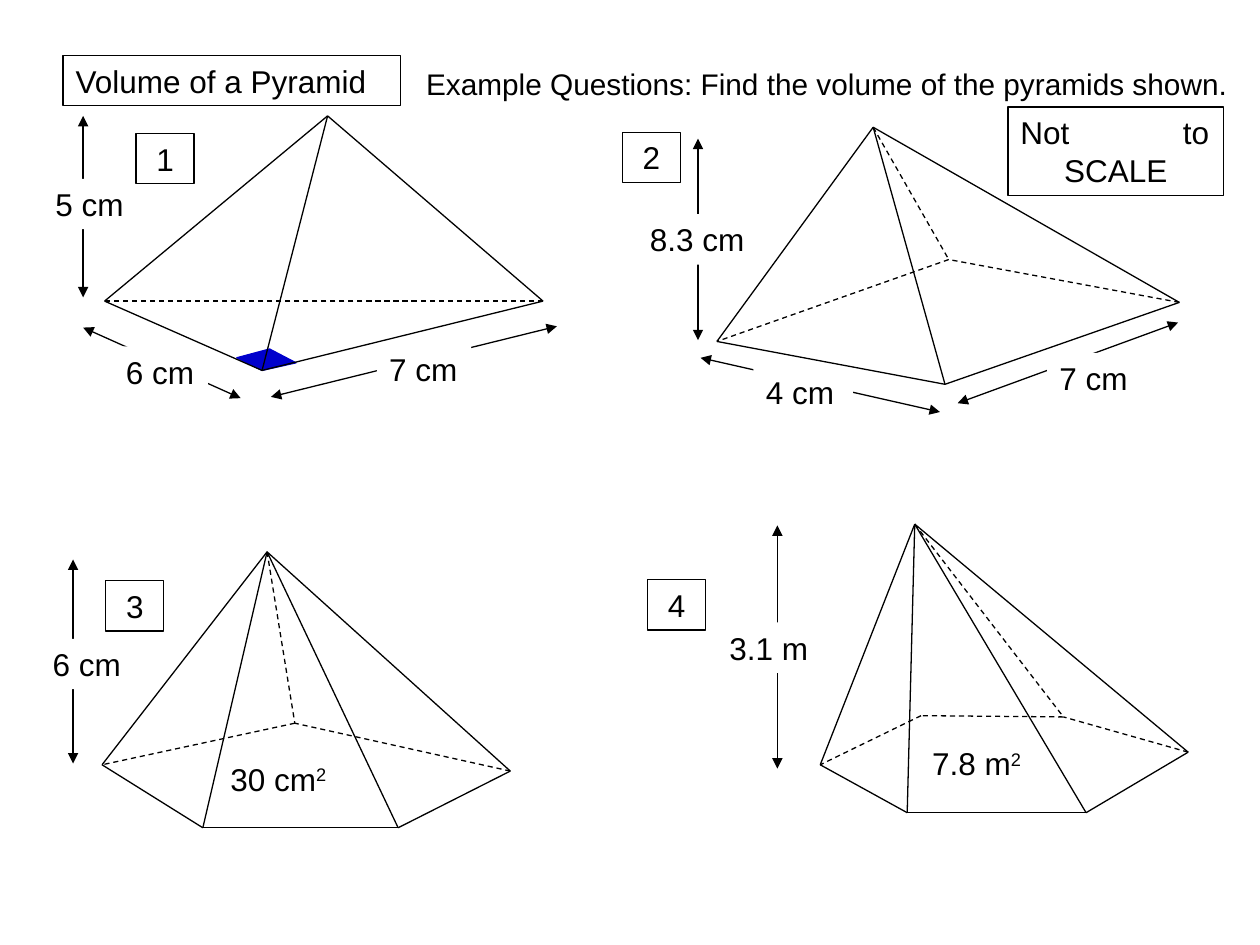
from lxml import etree
from pptx import Presentation
from pptx import util as u
from pptx.dml.color import RGBColor
from pptx.enum import dml, shapes, text
from pptx.oxml.ns import qn

BLACK = RGBColor(0x00, 0x00, 0x00)
WHITE = RGBColor(0xFF, 0xFF, 0xFF)
BLUE = RGBColor(0x00, 0x00, 0xCC)
FONT = "Arial"
LINE_WIDTH = u.Pt(0.75)
LABEL_HEIGHT = 0.4

# Front vertices run left to right, back vertices right to left
PYRAMIDS = [
    dict(apex=(2.6, 0.92), front=[(0.83, 2.39), (2.08, 2.94), (4.31, 2.39)], back=[]),
    dict(apex=(6.93, 1.01), front=[(5.69, 2.71), (7.5, 3.05), (9.36, 2.4)],
         back=[(7.53, 2.06)]),
    dict(apex=(2.12, 4.38), front=[(0.81, 6.07), (1.61, 6.57), (3.16, 6.57), (4.05, 6.12)],
         back=[(2.34, 5.74)]),
    dict(apex=(7.26, 4.16), front=[(6.51, 6.07), (7.2, 6.45), (8.62, 6.45), (9.43, 5.97)],
         back=[(8.44, 5.69), (7.31, 5.68)]),
]
RIGHT_ANGLE = [(1.88, 2.84), (2.14, 2.77), (2.35, 2.88), (2.08, 2.94)]

# Arrow start, arrow end, label, label left, top and width
DIMENSIONS = [
    ((0.66, 2.36), (0.66, 0.92), "5 cm", 0.34, 1.42, 0.79),
    ((0.66, 2.6), (1.91, 3.16), "6 cm", 0.9, 2.75, 0.75),
    ((2.15, 3.15), (4.42, 2.59), "7 cm", 2.99, 2.73, 0.75),
    ((5.54, 1.1), (5.54, 2.7), "8.3 cm", 5.06, 1.7, 1.02),
    ((5.56, 2.84), (7.46, 3.27), "4 cm", 5.98, 2.91, 0.79),
    ((7.6, 3.2), (9.35, 2.56), "7 cm", 8.31, 2.8, 0.79),
    ((0.58, 6.06), (0.58, 4.44), "6 cm", 0.32, 5.07, 0.79),
    ((6.17, 4.17), (6.17, 6.1), "3.1 m", 5.69, 4.94, 1.04),
]
BASE_AREAS = [("30 cm", 1.73, 5.98), ("7.8 m", 7.3, 5.86)]
NUMBER_BOXES = [(1.08, 1.06), (4.94, 1.05), (0.84, 4.61), (5.14, 4.6)]


def write_text(paragraph, content, size=18, align=text.PP_ALIGN.LEFT,
               superscript="", tab=None):
    """Fill a paragraph, with an optional raised ending and tab stop."""
    paragraph.alignment = align
    paragraph.space_before = u.Pt(0)
    if tab:
        tabs = etree.SubElement(paragraph._p.get_or_add_pPr(), qn("a:tabLst"))
        etree.SubElement(tabs, qn("a:tab"), pos=str(u.Inches(tab)), algn="l")
    for part in filter(None, (content, superscript)):
        run = paragraph.add_run()
        run.text = part
        run.font.name = FONT
        run.font.size = u.Pt(size)
        run.font.color.rgb = BLACK
    if superscript:
        run._r.get_or_add_rPr().set("baseline", "30000")


def set_frame(shape):
    """Make the text of a shape wrap and start at the top."""
    frame = shape.text_frame
    frame.word_wrap = True
    frame.auto_size = text.MSO_AUTO_SIZE.NONE
    frame.vertical_anchor = text.MSO_ANCHOR.TOP
    return frame


def outline(shape):
    shape.line.color.rgb = BLACK
    shape.line.width = LINE_WIDTH


def add_box(slide, left, top, width, height=LABEL_HEIGHT, fill=None, border=False):
    """Add a rectangle and return its text frame."""
    shape = slide.shapes.add_shape(shapes.MSO_SHAPE.RECTANGLE,
                                   *map(u.Inches, (left, top, width, height)))
    shape.shadow.inherit = False
    if fill is None:
        shape.fill.background()
    else:
        shape.fill.solid()
        shape.fill.fore_color.rgb = fill
    if border:
        outline(shape)
    else:
        shape.line.fill.background()
    return set_frame(shape)


def add_text_box(slide, left, top, width, content, **text_format):
    shape = slide.shapes.add_textbox(*map(u.Inches, (left, top, width, LABEL_HEIGHT)))
    write_text(set_frame(shape).paragraphs[0], content, **text_format)


def add_line(slide, start, end, dashed=False, arrows=False):
    line = slide.shapes.add_connector(shapes.MSO_CONNECTOR.STRAIGHT,
                                      *map(u.Inches, (*start, *end)))
    outline(line)
    if dashed:
        line.line.dash_style = dml.MSO_LINE.DASH
    if arrows:
        for tag in ("a:headEnd", "a:tailEnd"):
            etree.SubElement(line.line._get_or_add_ln(), qn(tag), type="triangle")
    etree.SubElement(line._element.spPr, qn("a:effectLst"))


def add_pyramid(slide, apex, front, back):
    """Draw solid visible edges and dashed hidden ones."""
    hidden_base = [front[-1], *back, front[0]]
    for start, end in zip(front, front[1:]):
        add_line(slide, start, end)
    for start, end in zip(hidden_base, hidden_base[1:]):
        add_line(slide, start, end, dashed=True)
    for vertex in front:
        add_line(slide, apex, vertex)
    for vertex in back[:1]:
        add_line(slide, apex, vertex, dashed=True)


def add_right_angle(slide):
    points = [tuple(map(u.Inches, point)) for point in RIGHT_ANGLE]
    builder = slide.shapes.build_freeform(*points[0])
    builder.add_line_segments(points[1:], close=True)
    mark = builder.convert_to_shape()
    mark.shadow.inherit = False
    mark.fill.solid()
    mark.fill.fore_color.rgb = BLUE
    mark.line.color.rgb = BLUE
    mark.line.width = LINE_WIDTH


def add_title(slide, content):
    title = slide.shapes.title
    title.left, title.top, title.width, title.height = map(
        u.Inches, (0.5, 0.44, 2.68, LABEL_HEIGHT))
    outline(title)
    write_text(set_frame(title).paragraphs[0], content)


def main():
    presentation = Presentation()
    presentation.slide_width = u.Inches(10)
    presentation.slide_height = u.Inches(7.5)
    slide = presentation.slides.add_slide(presentation.slide_layouts[5])
    center = text.PP_ALIGN.CENTER

    # Heading and task
    add_title(slide, "Volume of a Pyramid")
    add_text_box(slide, 3.13, 0.47, 6.87,
                 "Example Questions: Find the volume of the pyramids shown.",
                 size=17, align=center)

    # Lengths, with each label interrupting its arrow
    for start, end, label, left, top, width in DIMENSIONS:
        add_line(slide, start, end, arrows=True)
        frame = add_box(slide, left, top, width, fill=WHITE)
        write_text(frame.paragraphs[0], label)

    # Pyramids
    add_right_angle(slide)
    for pyramid in PYRAMIDS:
        add_pyramid(slide, **pyramid)

    # Base areas
    for area, left, top in BASE_AREAS:
        add_text_box(slide, left, top, 1.46, area, superscript="2")

    # Question numbers
    for number, (left, top) in enumerate(NUMBER_BOXES, start=1):
        frame = add_box(slide, left, top, 0.46, border=True)
        write_text(frame.paragraphs[0], str(number), align=center)

    # Scale warning
    frame = add_box(slide, 8, 0.85, 1.71, 0.7, border=True)
    write_text(frame.paragraphs[0], "Not\tto", tab=1.29)
    write_text(frame.add_paragraph(), "SCALE", align=center)

    presentation.save("out.pptx")


if __name__ == "__main__":
    main()
